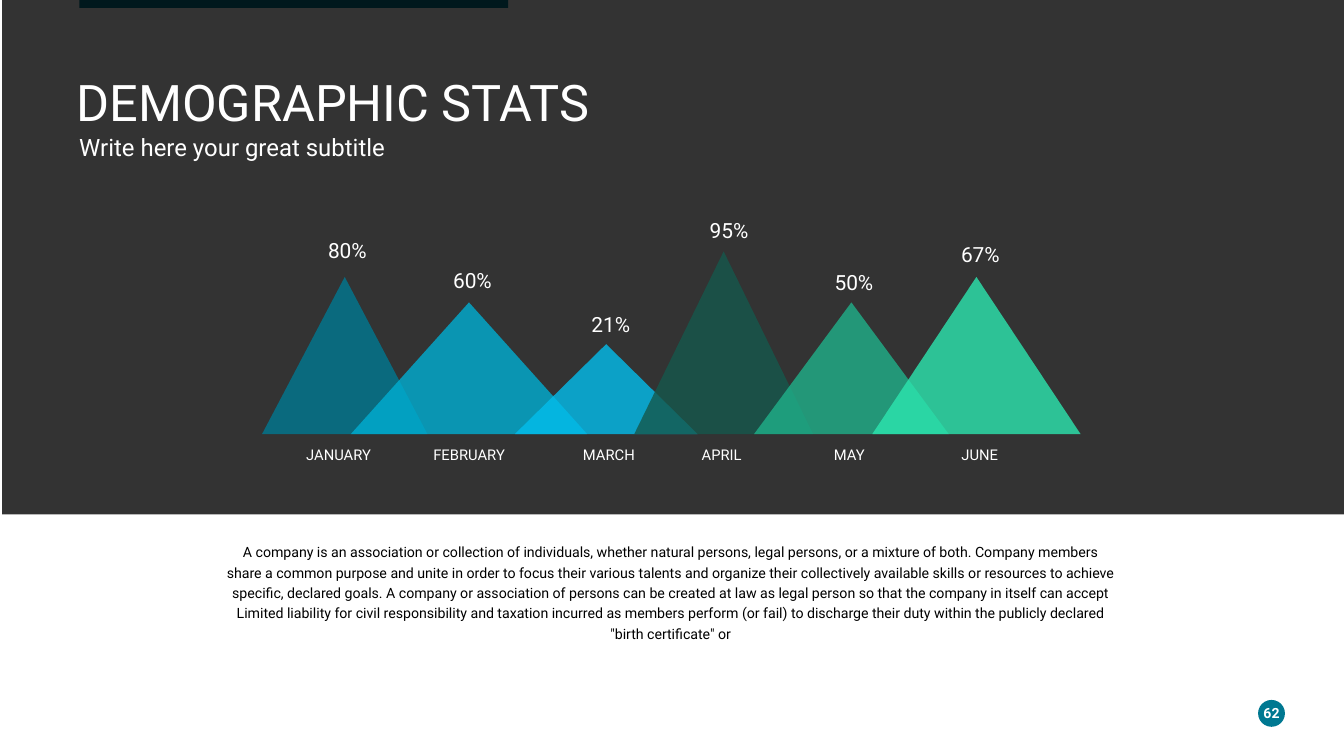
from lxml import etree
from pptx import Presentation
from pptx.dml.color import RGBColor
from pptx.enum.shapes import MSO_SHAPE
from pptx.enum.text import MSO_ANCHOR, PP_ALIGN
from pptx.oxml.ns import qn
from pptx.util import Pt

RECT, OVAL, PEAK = MSO_SHAPE.RECTANGLE, MSO_SHAPE.OVAL, MSO_SHAPE.ISOSCELES_TRIANGLE
TOP, MIDDLE = MSO_ANCHOR.TOP, MSO_ANCHOR.MIDDLE
LEFT, CENTER = PP_ALIGN.LEFT, PP_ALIGN.CENTER

BLACK = RGBColor(0x00, 0x00, 0x00)
WHITE = RGBColor(0xFF, 0xFF, 0xFF)
TEAL = RGBColor(0x00, 0x78, 0x91)
CYAN = RGBColor(0x00, 0xAE, 0xD2)
SKY = RGBColor(0x03, 0xBD, 0xEC)
PINE = RGBColor(0x15, 0x58, 0x4C)
GREEN = RGBColor(0x1F, 0xB1, 0x8A)
MINT = RGBColor(0x2C, 0xE6, 0xAF)

FONT = "Roboto"
PAD = (5.76, 2.88)
PEAKS = [
    ("JANUARY", "80%", TEAL, (0, 88.6, 84.2), (45.7, 10.8), 41),
    ("FEBRUARY", "60%", CYAN, (47.5, 126.7, 70.6), (112.7, 26.6), 110.9),
    ("MARCH", "21%", SKY, (135.4, 97.9, 48.2), (186.8, 50.4), 185.8),
    ("APRIL", "95%", PINE, (199.4, 95.8, 97.9), (250.2, 0), 246.2),
    ("MAY", "50%", GREEN, (263.5, 104.4, 70.6), (317.1, 28.1), 314.6),
    ("JUNE", "67%", MINT, (326.9, 111.6, 84.2), (384.8, 13), 384.5),
]
BODY = (
    "A company is an association or collection of individuals, whether natural persons, "
    "legal persons, or a mixture of both. Company members share a common purpose and unite "
    "in order to focus their various talents and organize their collectively available "
    "skills or resources to achieve specific, declared goals. A company or association of "
    "persons can be created at law as legal person so that the company in itself can accept "
    "Limited liability for civil responsibility and taxation incurred as members perform "
    "(or fail) to discharge their duty within the publicly declared \"birth certificate\" or"
)


def apply(target, values):
    """Set each named value on the target."""
    for name, value in values.items():
        setattr(target, name, value)


def add_form(shapes, kind, box, color, alpha=100):
    """Add a filled shape without line or shadow."""
    form = shapes.add_shape(kind, *map(Pt, box))
    form.shadow.inherit = False
    form.line.fill.background()
    form.fill.solid()
    form.fill.fore_color.rgb = color
    if alpha < 100:
        tone = form.fill._xPr.find(qn("a:solidFill"))[0]
        etree.SubElement(tone, qn("a:alpha")).set("val", str(alpha * 1000))
    return form


def add_text(shapes, box, text, size, color=WHITE, bold=False, align=CENTER,
             anchor=MIDDLE, space=1.0, before=0, pad=(0, 0), wrap=True):
    """Add a text box holding one paragraph."""
    frame = shapes.add_textbox(*map(Pt, box)).text_frame
    side, edge = map(Pt, pad)
    apply(frame, {"word_wrap": wrap, "vertical_anchor": anchor,
                  "margin_left": side, "margin_right": side,
                  "margin_top": edge, "margin_bottom": edge})
    para = frame.paragraphs[0]
    apply(para, {"alignment": align, "line_spacing": space, "space_before": Pt(before)})
    run = para.add_run()
    run.text = text
    apply(run.font, {"name": FONT, "size": Pt(size), "bold": bold})
    run.font.color.rgb = color


def add_frame(shapes, box):
    """Place the top bar and the page number in the slide box."""
    left, top, width, height = box
    add_form(shapes, RECT, (left + 42.5, top, 229.7, 4.3), TEAL)
    right, base = left + width, top + height
    add_form(shapes, OVAL, (right - 46, base - 30, 14.4, 14.4), TEAL)
    add_text(shapes, (right - 49.6, base - 29, 21.6, 11.5), "62", 7.5, bold=True)


def add_head(shapes, box):
    """Place the title and subtitle in the box."""
    left, top, width, height = box
    add_text(shapes, (left, top, width, 26), "DEMOGRAPHIC STATS", 27,
             align=LEFT, anchor=TOP, space=0.8)
    add_text(shapes, (left + 1.4, top + height - 11.5, 231.8, 11.5),
             "Write here your great subtitle", 12.8,
             align=LEFT, anchor=TOP, space=0.9, before=7.5)


def add_peaks(shapes, box):
    """Place the peaks with their values and months in the box."""
    left, top, width, height = box
    base = top + height - 19.4
    group = shapes.add_group_shape().shapes
    for month, rate, color, (x, wide, high), spot, mid in PEAKS:
        add_form(group, PEAK, (left + x, base - high, wide, high), color, 80)
    for month, rate, color, size, (x, y), mid in PEAKS:
        add_text(group, (left + x - 16.9, top + y, 33.8, 26.6), rate, 11.2,
                 space=1.3, pad=PAD, wrap=False)
        add_text(group, (left + mid - 33.1, base - 0.8, 66.2, 20.2), month, 7.9,
                 space=1.3, pad=PAD, wrap=False)


def main():
    """Build the slide and save it."""
    deck = Presentation()
    apply(deck, {"slide_width": Pt(720), "slide_height": Pt(405)})
    shapes = deck.slides.add_slide(deck.slide_layouts[6]).shapes
    add_frame(shapes, (0, 0, 720, 405))
    add_form(shapes, RECT, (1.2, 0, 718.8, 275.6), BLACK, 80)
    add_peaks(shapes, (140.4, 108, 438.5, 144))
    add_head(shapes, (41, 44.6, 347.8, 39.6))
    add_text(shapes, (121, 289.4, 476.6, 44), BODY, 7.6, BLACK, anchor=TOP, space=1.2)
    deck.save("out.pptx")


if __name__ == "__main__":
    main()
